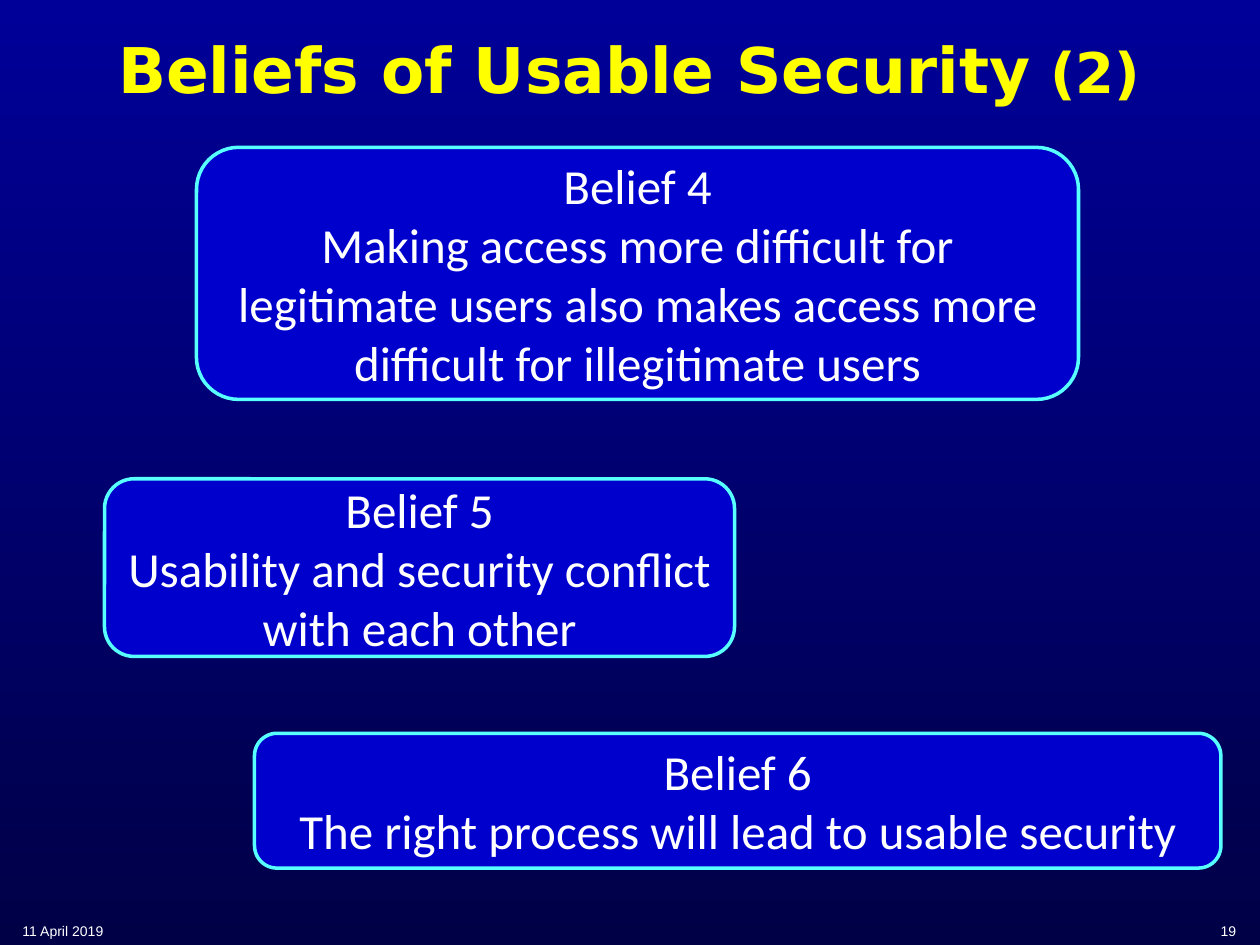
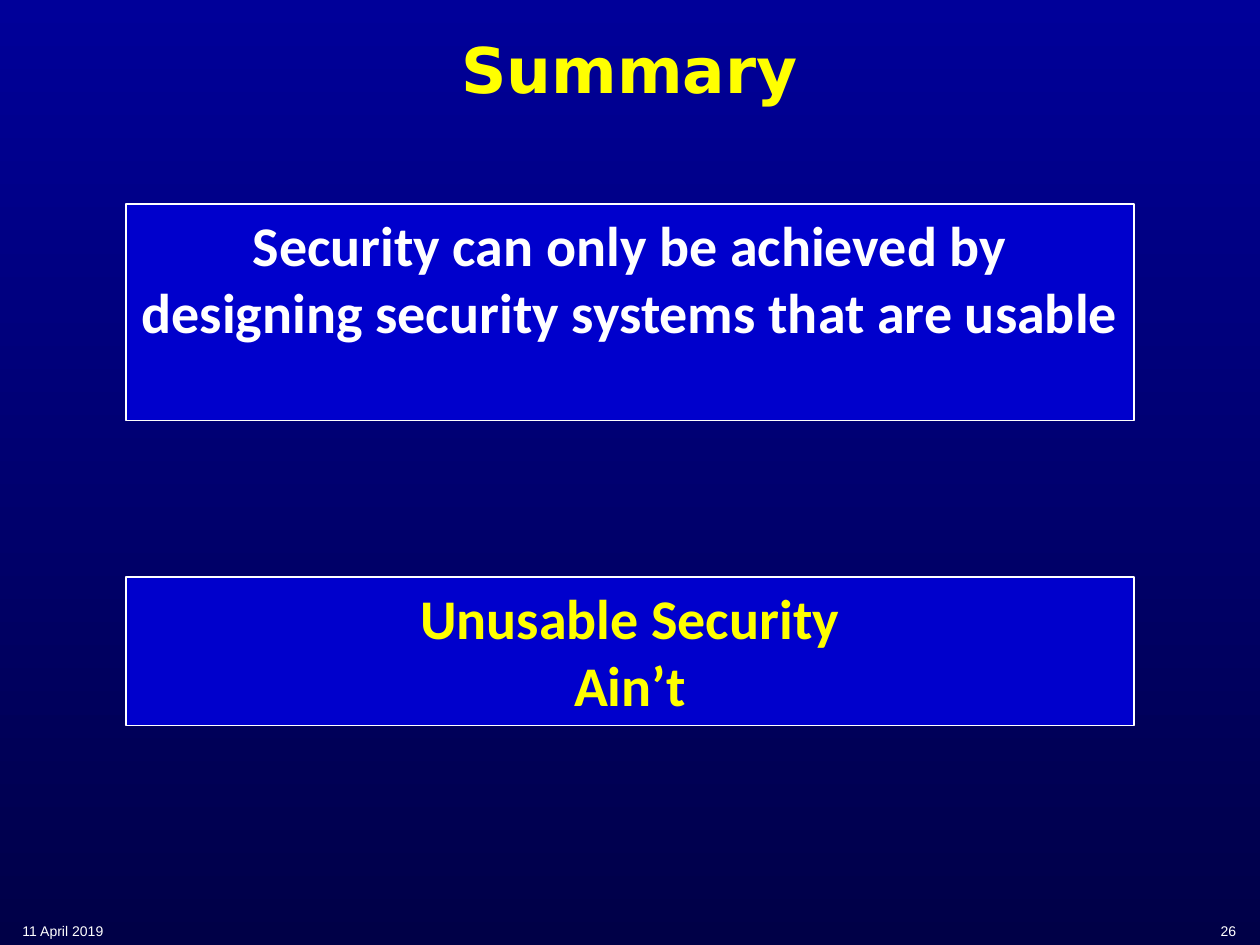
from pptx import Presentation
from pptx.util import Inches, Pt
from pptx.dml.color import RGBColor as RGB
from pptx.enum.shapes import MSO_SHAPE as SHAPE
from pptx.enum.text import MSO_ANCHOR as ANCHOR, PP_ALIGN as ALIGN

COLORS = {
    "top": "000099",
    "base": "000047",
    "box": "0000CC",
    "edge": "58FFFF",
    "white": "FFFFFF",
    "yellow": "FFFF00",
}
DATE = "11 April 2019"


def color(name):
    return RGB.from_string(COLORS[name])


def write(shape, paras, size, font, tint, bold=False, align=ALIGN.CENTER, anchor=ANCHOR.MIDDLE):
    """Fill a shape with paragraphs, each a list of (text, size or None) runs."""
    frame = shape.text_frame
    frame.word_wrap = True
    frame.vertical_anchor = anchor
    for i, runs in enumerate(paras):
        para = frame.paragraphs[0] if i == 0 else frame.add_paragraph()
        para.alignment = align
        for text, own in runs:
            run = para.add_run()
            run.text = text
            run.font.size = Pt(own or size)
            run.font.name = font
            run.font.bold = bold
            run.font.color.rgb = color(tint)


prs = Presentation()
prs.slide_width, prs.slide_height = Inches(10), Inches(7.5)

# Each box: left, top, width, height, lines
beliefs = [
    (2.02, 5.82, 7.67, 1.07, ["Belief 6", "The right process will lead to usable security"]),
    (0.83, 3.8, 5, 1.41, ["Belief 5", "Usability and security conflict with each other"]),
    (1.56, 1.17, 7, 2, ["Belief 4", "Making access more difficult for legitimate users "
                        "also makes access more difficult for illegitimate users"]),
]
claims = [
    (1, 4.58, 8, 1.18, ["Unusable Security", "Ain’t"]),
    (1, 1.62, 8, 1.72, ["Security can only be achieved by designing security systems that are usable"]),
]

# Box styles: shape, edge colour, edge width, text size, bold, anchor
round_box = (SHAPE.ROUNDED_RECTANGLE, "edge", 2, 28, False, ANCHOR.MIDDLE)
plain_box = (SHAPE.RECTANGLE, "white", 0.75, 32, True, ANCHOR.TOP)

pages = [
    ([("Beliefs of Usable Security", None), (" (2)", 32)], "19", beliefs, round_box, ["white"] * 3),
    ([("Summary", None)], "26", claims, plain_box, ["yellow", "white"]),
]

for title, number, boxes, style, tints in pages:
    slide = prs.slides.add_slide(prs.slide_layouts[6])

    # Background, dark towards the bottom
    fill = slide.background.fill
    fill.gradient()
    fill.gradient_angle = 270
    for stop, name, place in zip(fill.gradient_stops, ("top", "base"), (0, 1)):
        stop.color.rgb = color(name)
        stop.position = place

    # Title
    head = slide.shapes.add_textbox(Inches(0.08), Inches(0.08), Inches(9.83), Inches(0.92))
    write(head, [title], 36, "DejaVu Sans", "yellow", bold=True)

    # Boxes
    kind, edge, weight, size, bold, anchor = style
    for (left, top, width, height, lines), tint in zip(boxes, tints):
        box = slide.shapes.add_shape(kind, Inches(left), Inches(top), Inches(width), Inches(height))
        box.shadow.inherit = False
        box.fill.solid()
        box.fill.fore_color.rgb = color("box")
        box.line.color.rgb = color(edge)
        box.line.width = Pt(weight)
        write(box, [[(line, None)] for line in lines], size, "Calibri", tint, bold, anchor=anchor)

    # Footer
    for left, width, text, align in ((0.08, 2.08, DATE, ALIGN.LEFT), (8.83, 1.08, number, ALIGN.RIGHT)):
        foot = slide.shapes.add_textbox(Inches(left), Inches(7.25), Inches(width), Inches(0.25))
        write(foot, [[(text, None)]], 8, "Arial", "white", align=align, anchor=ANCHOR.BOTTOM)

prs.save("out.pptx")
